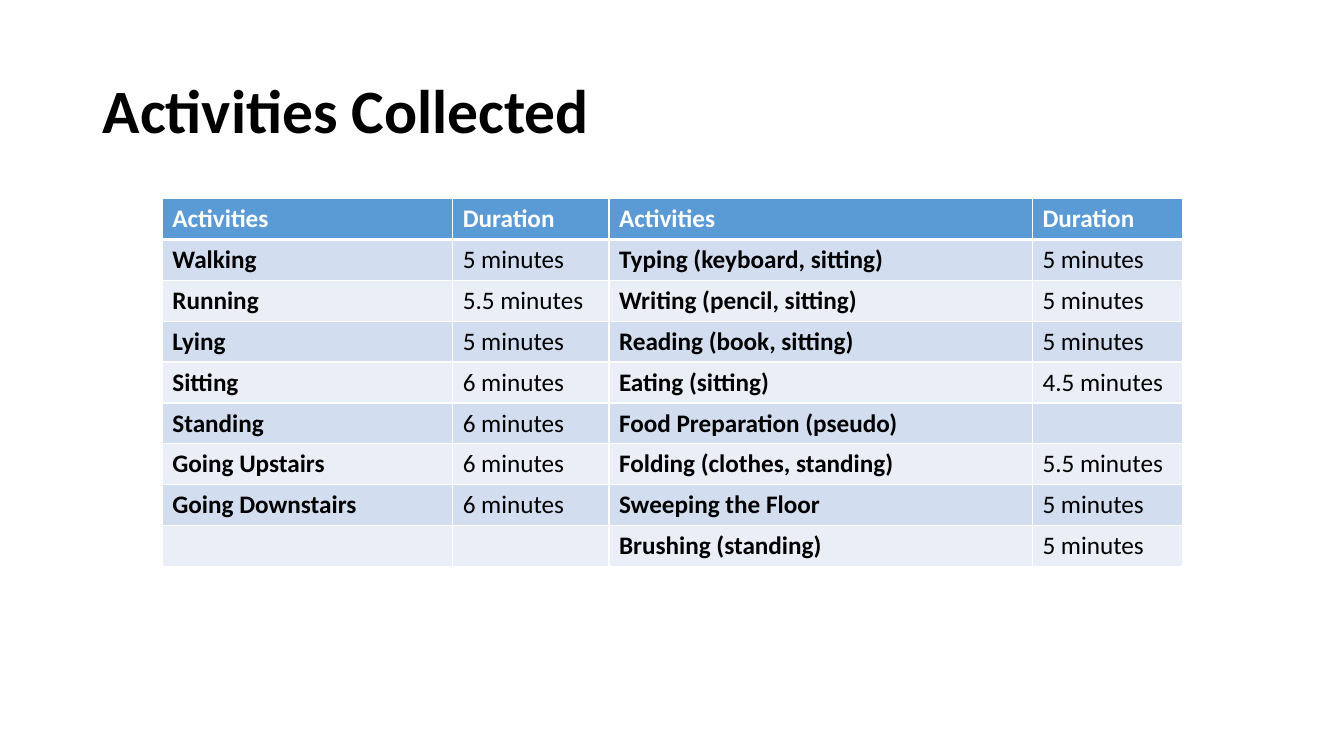
from lxml.etree import SubElement
from pptx import Presentation
from pptx.dml.color import RGBColor
from pptx.enum.text import MSO_ANCHOR, PP_ALIGN
from pptx.oxml.ns import qn
from pptx.util import Inches, Pt

FONT = "Calibri"
COLORS = {
    "text": "000000",
    "header_text": "FFFFFF",
    "header": "5B9BD5",
    "odd_row": "D2DEEF",
    "even_row": "EAEFF7",
    "border": "FFFFFF",
}
COLUMN_WIDTHS = [2.88, 1.55, 4.2, 1.49]
TABLE_HEIGHT = 3.65
ROWS = [
    ["Activities", "Duration", "Activities", "Duration"],
    ["Walking", "5 minutes", "Typing (keyboard, sitting)", "5 minutes"],
    ["Running", "5.5 minutes", "Writing (pencil, sitting)", "5 minutes"],
    ["Lying", "5 minutes", "Reading (book, sitting)", "5 minutes"],
    ["Sitting", "6 minutes", "Eating (sitting)", "4.5 minutes"],
    ["Standing", "6 minutes", "Food Preparation (pseudo)", ""],
    ["Going Upstairs", "6 minutes", "Folding (clothes, standing)", "5.5 minutes"],
    ["Going Downstairs", "6 minutes", "Sweeping the Floor", "5 minutes"],
    ["", "", "Brushing (standing)", "5 minutes"],
]


def style_font(font, size, color, bold):
    font.name = FONT
    font.size = Pt(size)
    font.bold = bold
    font.color.rgb = RGBColor.from_string(COLORS[color])


def add_title(page, text):
    title = page.shapes.title
    title.left, title.top = Inches(0.92), Inches(0.4)
    title.width, title.height = Inches(11.5), Inches(1.45)
    frame = title.text_frame
    frame.text = text
    frame.word_wrap = True
    frame.vertical_anchor = MSO_ANCHOR.MIDDLE
    para = frame.paragraphs[0]
    para.alignment = PP_ALIGN.LEFT
    para.line_spacing = 0.9
    style_font(para.font, 44, "text", True)


def set_borders(cell, top, bottom):
    properties = cell._tc.get_or_add_tcPr()
    for side, width in (("L", 1), ("R", 1), ("T", top), ("B", bottom)):
        line = SubElement(properties, qn(f"a:ln{side}"), w=str(Pt(width)))
        fill = SubElement(line, qn("a:solidFill"))
        SubElement(fill, qn("a:srgbClr"), val=COLORS["border"])


def fill_cell(cell, text, row, column):
    is_header = row == 0
    # Borders come before the fill in the cell properties
    set_borders(cell, top=3 if row == 1 else 1, bottom=3 if is_header else 1)
    fill_name = "header" if is_header else "odd_row" if row % 2 else "even_row"
    cell.fill.solid()
    cell.fill.fore_color.rgb = RGBColor.from_string(COLORS[fill_name])
    cell.text = text
    style_font(cell.text_frame.paragraphs[0].font, 18,
               "header_text" if is_header else "text",
               is_header or column % 2 == 0)


def add_activity_table(page):
    frame = page.shapes.add_table(
        len(ROWS), len(COLUMN_WIDTHS), Inches(1.61), Inches(1.97),
        Inches(sum(COLUMN_WIDTHS)), Inches(TABLE_HEIGHT))
    table = frame.table
    for column, width in zip(table.columns, COLUMN_WIDTHS):
        column.width = Inches(width)
    for row_index, texts in enumerate(ROWS):
        table.rows[row_index].height = Inches(TABLE_HEIGHT / len(ROWS))
        for column_index, text in enumerate(texts):
            fill_cell(table.cell(row_index, column_index), text,
                      row_index, column_index)


def main():
    deck = Presentation()
    deck.slide_width, deck.slide_height = Inches(13.33), Inches(7.5)
    page = deck.slides.add_slide(deck.slide_layouts[5])
    add_title(page, "Activities Collected")
    add_activity_table(page)
    deck.save("out.pptx")


if __name__ == "__main__":
    main()
